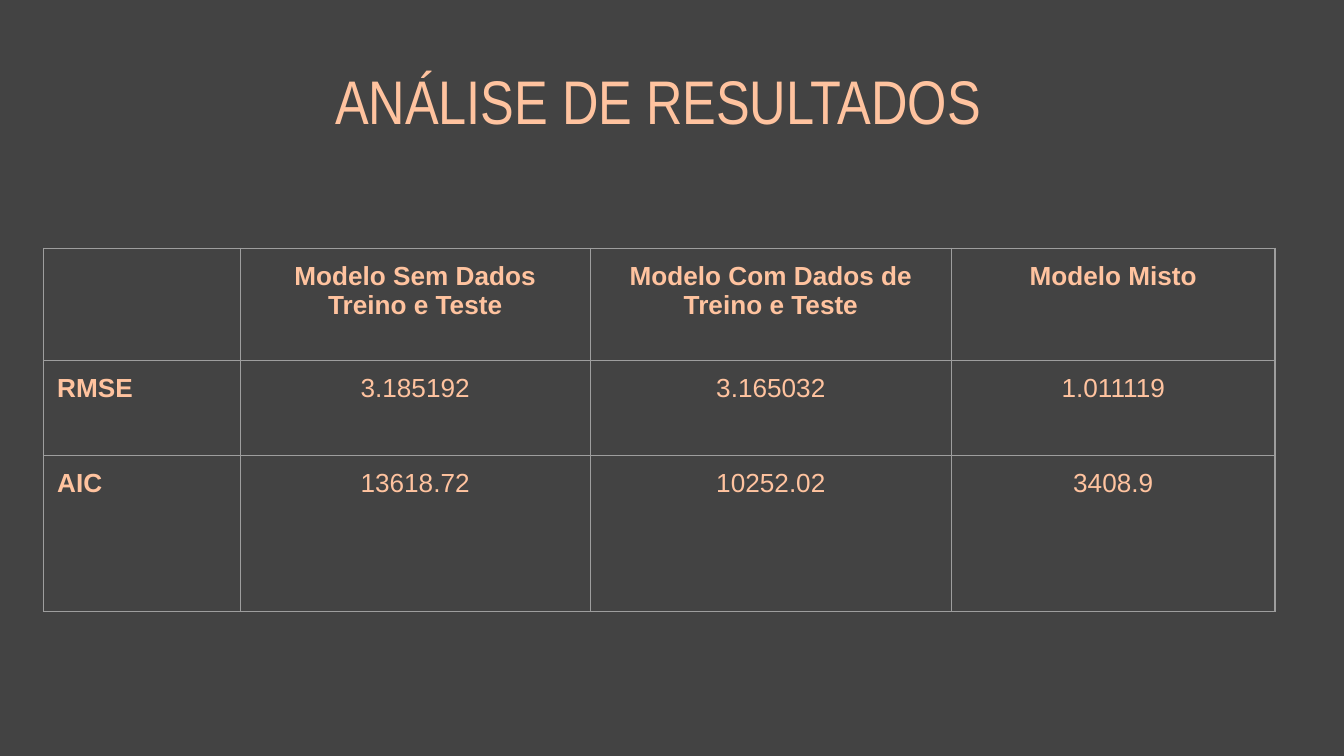
from lxml.etree import SubElement
from pptx import Presentation
from pptx.dml.color import RGBColor
from pptx.enum.text import MSO_ANCHOR as Anchor, PP_ALIGN as Align
from pptx.oxml.ns import qn
from pptx.util import Pt

CHARCOAL = RGBColor(0x43, 0x43, 0x43)
PEACH = RGBColor(0xFF, 0xC3, 0x9F)
GREY = RGBColor(0x9E, 0x9E, 0x9E)

COLUMN_WIDTHS = [105.3, 187.5, 193.6, 173.3]
ROW_HEIGHTS = [60, 51.2, 83.4]
RESULTS = [
    ["", "Modelo Sem Dados Treino e Teste", "Modelo Com Dados de Treino e Teste", "Modelo Misto"],
    ["RMSE", "3.185192", "3.165032", "1.011119"],
    ["AIC", "13618.72", "10252.02", "3408.9"],
]


def write_text(frame, text, size=14, font="Arial", bold=False, align=Align.CENTER,
               anchor=Anchor.TOP, inset=7.2):
    frame.word_wrap = True
    frame.vertical_anchor = anchor
    frame.margin_left = frame.margin_right = Pt(inset)
    frame.margin_top = frame.margin_bottom = Pt(inset)
    paragraph = frame.paragraphs[0]
    paragraph.alignment = align
    paragraph.line_spacing = 1
    paragraph.space_before = Pt(0)
    run = paragraph.add_run()
    run.text = text
    run.font.size = Pt(size)
    run.font.name = font
    run.font.bold = bold
    run.font.color.rgb = PEACH


def add_title(slide, text):
    title = slide.shapes.title
    title.left, title.top = Pt(113), Pt(25.2)
    title.width, title.height = Pt(479.5), Pt(48.2)
    write_text(title.text_frame, text, size=33, font="Arial Narrow",
               anchor=Anchor.BOTTOM, inset=0)


def draw_borders(cell):
    properties = cell._tc.get_or_add_tcPr()
    for side in ("a:lnL", "a:lnR", "a:lnT", "a:lnB"):
        border = SubElement(properties, qn(side), w=str(Pt(0.75)))
        fill = SubElement(border, qn("a:solidFill"))
        SubElement(fill, qn("a:srgbClr"), val=str(GREY))


def format_cell(cell, text, is_header, is_label):
    draw_borders(cell)
    cell.fill.background()
    cell.margin_left = cell.margin_right = Pt(7.2)
    cell.margin_top = cell.margin_bottom = Pt(7.2)
    if text:
        write_text(cell.text_frame, text, bold=is_header or is_label,
                   align=Align.LEFT if is_label else Align.CENTER)
        cell.vertical_anchor = Anchor.TOP


def add_results_table(slide):
    frame = slide.shapes.add_table(
        len(ROW_HEIGHTS), len(COLUMN_WIDTHS), Pt(23.4), Pt(133),
        Pt(sum(COLUMN_WIDTHS)), Pt(sum(ROW_HEIGHTS)))
    table = frame.table
    table.first_row = table.horz_banding = False
    for column, width in zip(table.columns, COLUMN_WIDTHS):
        column.width = Pt(width)
    for row, height in zip(table.rows, ROW_HEIGHTS):
        row.height = Pt(height)
    for r, values in enumerate(RESULTS):
        for c, value in enumerate(values):
            format_cell(table.cell(r, c), value, is_header=r == 0, is_label=c == 0)


def main():
    deck = Presentation()
    deck.slide_width, deck.slide_height = Pt(720), Pt(405)
    slide = deck.slides.add_slide(deck.slide_layouts[5])
    slide.background.fill.solid()
    slide.background.fill.fore_color.rgb = CHARCOAL
    add_title(slide, "ANÁLISE DE RESULTADOS")
    add_results_table(slide)
    deck.save("out.pptx")


if __name__ == "__main__":
    main()
